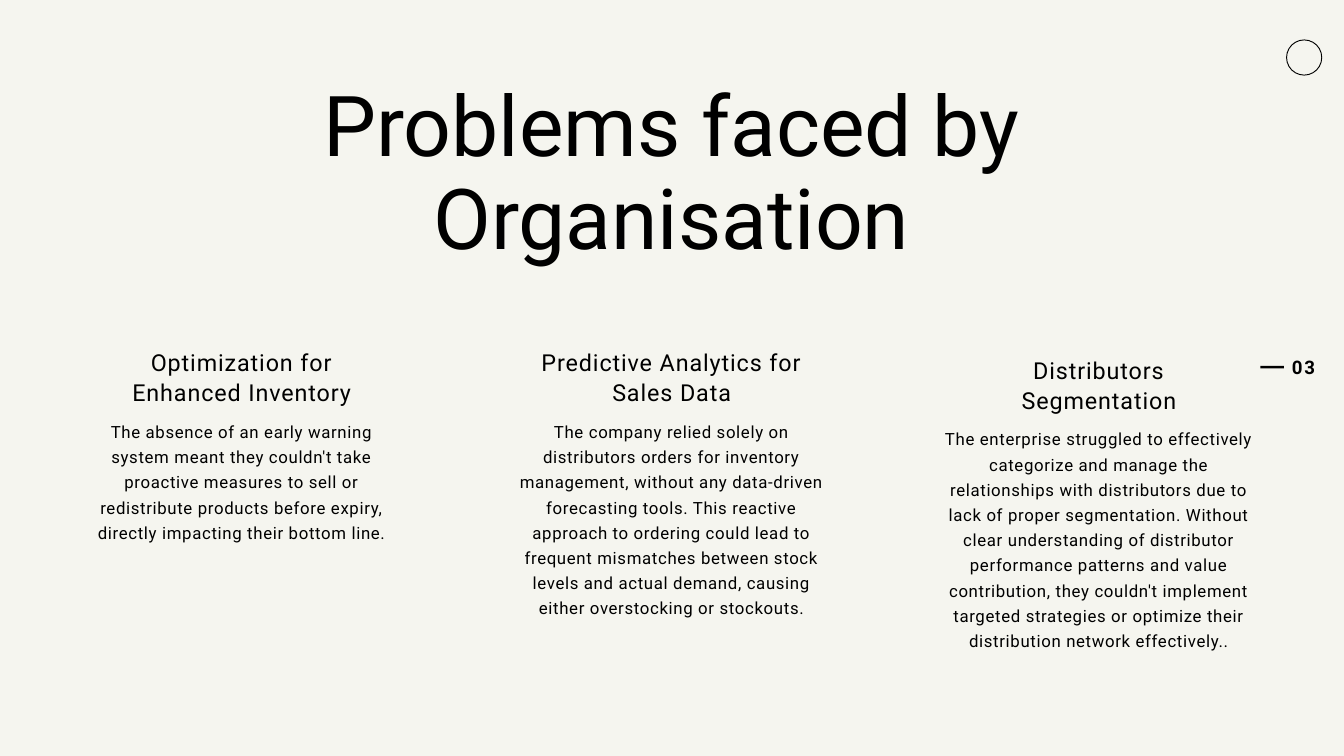
"""Build the slide on problems faced by the organisation."""
from pptx import Presentation
from pptx.dml.color import RGBColor
from pptx.enum.shapes import MSO_SHAPE as Kind
from pptx.enum.text import PP_ALIGN as Align
from pptx.util import Cm, Pt

INK = RGBColor(0x00, 0x00, 0x00)
PAPER = RGBColor(0xF5, 0xF5, 0xEF)
FONT = "Roboto"

ITEMS = [
    (3.05, 13.08, 4.65, "Optimization for Enhanced Inventory",
     "The absence of an early warning system meant they couldn't take "
     "proactive measures to sell or redistribute products before expiry, "
     "directly impacting their bottom line."),
    (19.3, 13.08, 7.49, "Predictive Analytics for Sales Data",
     "The company relied solely on distributors orders for inventory "
     "management, without any data-driven forecasting tools. This reactive "
     "approach to ordering could lead to frequent mismatches between stock "
     "levels and actual demand, causing either overstocking or stockouts."),
    (35.45, 13.36, 9.4, "Distributors Segmentation",
     "The enterprise struggled to effectively categorize and manage the "
     "relationships with distributors due to lack of proper segmentation. "
     "Without clear understanding of distributor performance patterns and "
     "value contribution, they couldn't implement targeted strategies or "
     "optimize their distribution network effectively.."),
]


def add_text(slide, text, box, size, lead, gap=0, bold=False, align=Align.CENTER):
    """Add a text box without insets, with fixed leading and letter gap in points."""
    frame = slide.shapes.add_textbox(*map(Cm, box)).text_frame
    frame.word_wrap = True
    frame.margin_left = frame.margin_right = 0
    frame.margin_top = frame.margin_bottom = 0
    para = frame.paragraphs[0]
    para.alignment = align
    para.line_spacing = Pt(lead)
    run = para.add_run()
    run.text = text
    font = run.font
    font.name, font.size, font.bold = FONT, Pt(size), bold
    font.color.rgb = INK
    if gap:
        run._r.get_or_add_rPr().set("spc", str(round(gap * 100)))


def add_ring(slide, box):
    """Add a thin open circle."""
    ring = slide.shapes.add_shape(Kind.OVAL, *map(Cm, box))
    ring.shadow.inherit = False
    ring.fill.background()
    ring.line.color.rgb = INK
    ring.line.width = Pt(1)


def add_dash(slide, box):
    """Add a solid bar without outline."""
    dash = slide.shapes.add_shape(Kind.RECTANGLE, *map(Cm, box))
    dash.shadow.inherit = False
    dash.fill.solid()
    dash.fill.fore_color.rgb = INK
    dash.line.fill.background()


def add_item(slide, left, top, high, head, body):
    """Add one problem: a heading centred over its body text."""
    add_text(slide, body, (left, top + 2.67, 12.17, high), 18, 27, gap=0.7)
    add_text(slide, head, (left + 0.63, top, 10.92, 2.21), 25, 32.5, gap=1)


def main():
    """Build and save the slide."""
    deck = Presentation()
    deck.slide_width, deck.slide_height = Cm(50.8), Cm(28.58)
    slide = deck.slides.add_slide(deck.slide_layouts[6])
    fill = slide.background.fill
    fill.solid()
    fill.fore_color.rgb = PAPER
    add_ring(slide, (48.63, 1.51, 1.33, 1.33))
    add_text(slide, "03", (48.44, 13.44, 1.27, 0.86), 20, 24, gap=2,
             bold=True, align=Align.RIGHT)
    add_dash(slide, (47.64, 13.83, 0.89, 0.1))
    add_text(slide, "Problems faced by Organisation",
             (2.84, 3.07, 45.09, 3.58), 90, 99)
    for item in ITEMS:
        add_item(slide, *item)
    deck.save("out.pptx")


if __name__ == "__main__":
    main()
